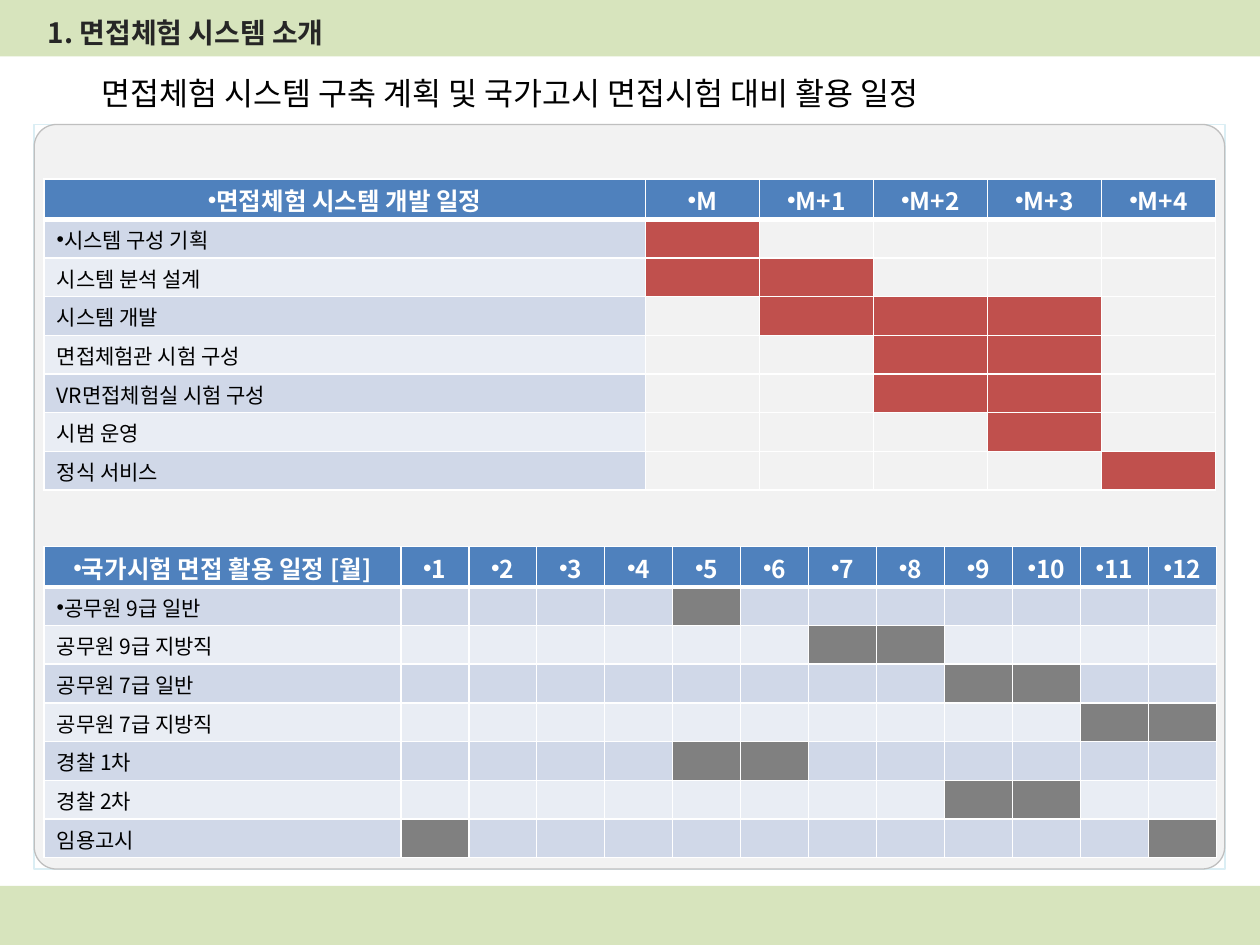
from dataclasses import dataclass
from typing import Optional

import pptx
import pptx.dml.color
import pptx.enum.shapes
import pptx.enum.text
import pptx.oxml.ns
import pptx.util
from lxml import etree

Cm, Pt = pptx.util.Cm, pptx.util.Pt
qn = pptx.oxml.ns.qn
ALIGN = pptx.enum.text.PP_ALIGN
MIDDLE = pptx.enum.text.MSO_ANCHOR.MIDDLE
SHAPE = pptx.enum.shapes.MSO_SHAPE

FONT = "Noto Sans CJK KR"
COLORS = {
    "band": "D7E4BD", "panel": "F2F2F2", "panel_line": "BFBFBF", "frame": "DBEEF4",
    "title": "262626", "black": "000000", "white": "FFFFFF", "header": "4F81BD",
    "odd": "D0D8E8", "even": "E9EDF4", "develop": "C0504D", "exam": "808080",
}
TABLE_LEFT, HEADER_HEIGHT, ROW_HEIGHT = 0.89, 0.81, 0.78


@dataclass
class Box:
    left: float
    top: float
    width: float
    height: float

    def lengths(self) -> tuple:
        return tuple(Cm(v) for v in (self.left, self.top, self.width, self.height))


@dataclass
class Task:
    name: str
    active: tuple


@dataclass
class Schedule:
    top: float
    label_width: float
    period_width: float
    heading: str
    periods: list
    tasks: list
    bar: str
    banded: bool


PANEL = Box(0.69, 2.51, 24, 15.01)
SCHEDULES = [
    Schedule(11.02, 7.19, 1.37, "국가시험 면접 활용 일정 [월]",
             [str(month) for month in range(1, 13)],
             [Task("공무원 9급 일반", (5,)),
              Task("공무원 9급 지방직", (7, 8)),
              Task("공무원 7급 일반", (9, 10)),
              Task("공무원 7급 지방직", (11, 12)),
              Task("경찰 1차", (5, 6)),
              Task("경찰 2차", (9, 10)),
              Task("임용고시", (1, 12))],
             "exam", True),
    Schedule(3.61, 12.12, 2.3, "면접체험 시스템 개발 일정",
             ["M", "M+1", "M+2", "M+3", "M+4"],
             [Task("시스템 구성 기획", (1,)),
              Task("시스템 분석 설계", (1, 2)),
              Task("시스템 개발", (2, 3, 4)),
              Task("면접체험관 시험 구성", (3, 4)),
              Task("VR면접체험실 시험 구성", (3, 4)),
              Task("시범 운영", (4,)),
              Task("정식 서비스", (5,))],
             "develop", False),
]


def rgb(name: str):
    return pptx.dml.color.RGBColor.from_string(COLORS[name])


def add_xml_color(parent, name: str) -> None:
    etree.SubElement(parent, qn("a:srgbClr"), val=COLORS[name])


def add_box(s, kind, box: Box, fill: Optional[str], line: Optional[str] = None,
            weight: float = 1):
    sp = s.shapes.add_shape(kind, *box.lengths())
    sp.shadow.inherit = False
    if fill:
        sp.fill.solid()
        sp.fill.fore_color.rgb = rgb(fill)
    else:
        sp.fill.background()
    if line:
        sp.line.color.rgb = rgb(line)
        sp.line.width = Pt(weight)
    else:
        sp.line.fill.background()
    return sp


def write(tf, text: str, size: float, color: str, bold: bool = False,
          align=ALIGN.LEFT, before: float = 0):
    p = tf.paragraphs[0]
    p.alignment = align
    p.line_spacing = 1.05
    p.space_before = Pt(before)
    r = p.add_run()
    r.text = text
    r.font.size = Pt(size)
    r.font.bold = bold
    r.font.name = FONT
    r.font.color.rgb = rgb(color)
    etree.SubElement(r.font._element, qn("a:ea"), typeface=FONT)
    return p


def add_bullet(p, color: str) -> None:
    ppr = p._p.get_or_add_pPr()
    ppr.set("marL", "0")
    ppr.set("indent", "0")
    add_xml_color(etree.SubElement(ppr, qn("a:buClr")), color)
    etree.SubElement(ppr, qn("a:buFont"), typeface="Arial")
    etree.SubElement(ppr, qn("a:buChar"), char="•")


def format_cell(cell, fill: Optional[str], bottom: float = 1) -> None:
    cell.margin_top = cell.margin_bottom = 0
    cell.vertical_anchor = MIDDLE
    tcpr = cell._tc.get_or_add_tcPr()
    for side, weight in (("L", 1), ("R", 1), ("T", 1), ("B", bottom)):
        ln = etree.SubElement(tcpr, qn(f"a:ln{side}"), w=str(Pt(weight)))
        add_xml_color(etree.SubElement(ln, qn("a:solidFill")), "white")
    if fill:
        cell.fill.solid()
        cell.fill.fore_color.rgb = rgb(fill)
    else:
        cell.fill.background()


def add_schedule(s, plan: Schedule) -> None:
    count = len(plan.periods)
    box = Box(TABLE_LEFT, plan.top, plan.label_width + count * plan.period_width,
              HEADER_HEIGHT + len(plan.tasks) * ROW_HEIGHT)
    table = s.shapes.add_table(len(plan.tasks) + 1, count + 1, *box.lengths()).table
    table.first_row = table.horz_banding = False
    for i, column in enumerate(table.columns):
        column.width = Cm(plan.period_width if i else plan.label_width)
    for i, row in enumerate(table.rows):
        row.height = Cm(ROW_HEIGHT if i else HEADER_HEIGHT)

    for col, text in enumerate([plan.heading, *plan.periods]):
        cell = table.cell(0, col)
        format_cell(cell, "header", bottom=3)
        p = write(cell.text_frame, text, 14, "white", True, ALIGN.CENTER, 2.8)
        add_bullet(p, "white")

    for row, task in enumerate(plan.tasks, 1):
        stripe = "odd" if row % 2 else "even"
        label = table.cell(row, 0)
        format_cell(label, stripe)
        p = write(label.text_frame, task.name, 12, "black", before=2.4)
        if row == 1:
            add_bullet(p, "black")
        for col in range(1, count + 1):
            cell = table.cell(row, col)
            idle = stripe if plan.banded else None
            format_cell(cell, plan.bar if col in task.active else idle)
            etree.SubElement(cell.text_frame.paragraphs[0]._p,
                             qn("a:endParaRPr"), sz="1200")


def add_title(s, text: str, box: Box) -> None:
    sp = s.shapes.title
    sp.element.getparent().append(sp.element)
    sp.left, sp.top, sp.width, sp.height = box.lengths()
    tf = sp.text_frame
    tf.word_wrap = True
    tf.auto_size = pptx.enum.text.MSO_AUTO_SIZE.NONE
    tf.vertical_anchor = MIDDLE
    write(tf, text, 16, "title", True)


def add_subtitle(s, text: str, box: Box) -> None:
    tf = s.shapes.add_textbox(*box.lengths()).text_frame
    tf.word_wrap = True
    tf.vertical_anchor = MIDDLE
    write(tf, text, 18, "black")


def main() -> None:
    prs = pptx.Presentation()
    prs.slide_width, prs.slide_height = Cm(25.4), Cm(19.05)
    s = prs.slides.add_slide(prs.slide_layouts[5])
    add_box(s, SHAPE.RECTANGLE, Box(0, 0, 25.4, 1.14), "band")
    add_box(s, SHAPE.RECTANGLE, Box(0, 17.86, 25.4, 1.19), "band")
    add_box(s, SHAPE.RECTANGLE, PANEL, None, "frame")
    panel = add_box(s, SHAPE.ROUNDED_RECTANGLE, PANEL, "panel", "panel_line", 0.75)
    panel.adjustments[0] = 0.03
    add_title(s, "1. 면접체험 시스템 소개", Box(0.71, 0.15, 10.01, 0.97))
    add_subtitle(s, "면접체험 시스템 구축 계획 및 국가고시 면접시험 대비 활용 일정",
                 Box(1.8, 1.32, 19.1, 1.07))
    for plan in SCHEDULES:
        add_schedule(s, plan)
    prs.save("out.pptx")


if __name__ == "__main__":
    main()
